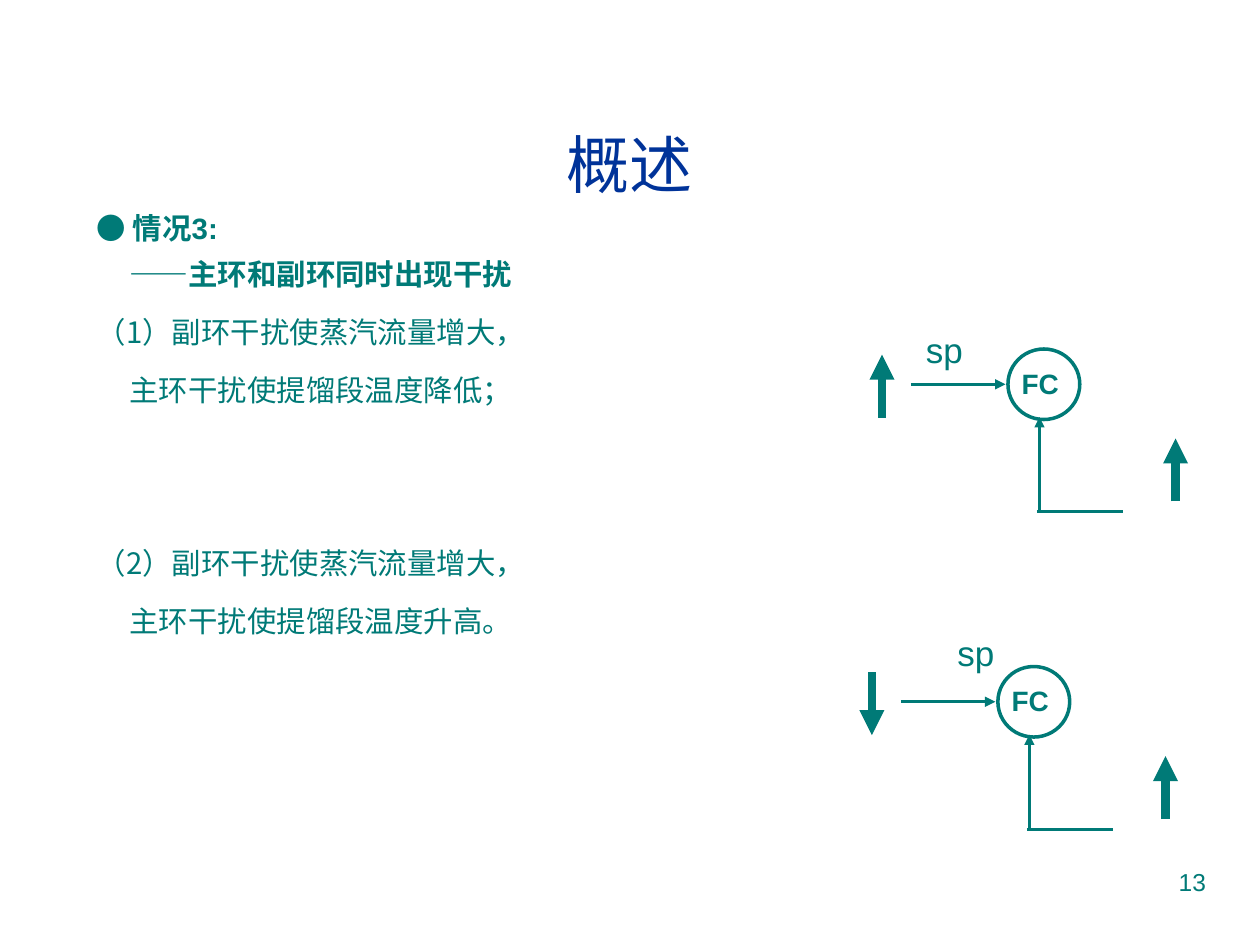
from dataclasses import dataclass
from typing import NamedTuple, Optional

from lxml.etree import SubElement
from pptx import Presentation
from pptx.dml.color import RGBColor
from pptx.enum.shapes import MSO_CONNECTOR as Connector, MSO_SHAPE as Shape
from pptx.enum.text import MSO_ANCHOR as Anchor, PP_ALIGN as Align
from pptx.oxml.ns import qn
from pptx.util import Emu, Inches, Pt

CELL = Inches(0.25)


@dataclass(frozen=True)
class Theme:
    """Colours, fonts, type sizes and line widths of the slide."""
    teal: RGBColor = RGBColor(0x00, 0x7A, 0x77)
    blue: RGBColor = RGBColor(0x00, 0x33, 0x99)
    latin: str = "Arial"
    chinese: str = "Noto Sans CJK SC"
    title: float = 36
    body: float = 16.8
    controller: float = 16
    setpoint: float = 20
    page: float = 14
    signal_line: float = 1.75
    circle_line: float = 2
    trend_line: float = 4.75


THEME = Theme()


class Point(NamedTuple):
    """A place on the grid, in columns and rows."""
    column: float
    row: float

    def shift(self, columns: float, rows: float) -> "Point":
        """Return the point moved by the given columns and rows."""
        return Point(self.column + columns, self.row + rows)


@dataclass(frozen=True)
class Line:
    """A paragraph of text with its layout."""
    text: str
    size: float
    color: RGBColor = THEME.teal
    font: str = THEME.latin
    bold: bool = False
    align: Align = Align.LEFT
    indent: float = 0
    before: float = 0
    spacing: Optional[float] = None


@dataclass(frozen=True)
class ControlLoop:
    """A flow controller, placed by the corner of its circle."""
    corner: Point
    label_shift: Point
    setpoint_rises: bool


LOOPS = (
    ControlLoop(Point(32, 11.08), Point(-3, -0.84), True),
    ControlLoop(Point(31.68, 21.16), Point(-1.68, -1.32), False),
)


def grid(cells: float) -> Emu:
    """Convert grid cells to a length."""
    return Emu(round(cells * CELL))


def heading(text: str, **layout) -> Line:
    """Return a bold heading line."""
    return Line(text, THEME.body, bold=True, align=Align.JUSTIFY, **layout)


def case_line(text: str, indent: float = 0, before: float = 15) -> Line:
    """Return a line that describes a case."""
    return Line(text, THEME.body, font=THEME.chinese, indent=indent, before=before, spacing=0.9)


def draw_text(shapes, corner: Point, columns: float, rows: float, *lines: Line,
              anchor: Anchor = Anchor.TOP, right_margin: float = 0.4) -> None:
    """Draw a text box with one paragraph per line."""
    box = shapes.add_textbox(*map(grid, (*corner, columns, rows)))
    frame = box.text_frame
    frame.word_wrap, frame.vertical_anchor = True, anchor
    frame.margin_right = grid(right_margin)
    for index, line in enumerate(lines):
        paragraph = frame.add_paragraph() if index else frame.paragraphs[0]
        paragraph.alignment = line.align
        paragraph.space_before = Pt(line.before)
        paragraph.line_spacing = line.spacing
        if line.indent:
            paragraph._p.get_or_add_pPr().set("marL", str(grid(line.indent)))
        run = paragraph.add_run()
        run.text = line.text
        run.font.name, run.font.size, run.font.bold = line.font, Pt(line.size), line.bold
        run.font.color.rgb = line.color
        SubElement(run.font._element, qn("a:ea"), typeface=THEME.chinese)


def draw_line(shapes, start: Point, end: Point, width: float, arrow: bool = True) -> None:
    """Draw a straight line, with an arrowhead at its end if asked."""
    connector = shapes.add_connector(Connector.STRAIGHT, *map(grid, (*start, *end)))
    connector.line.width = Pt(width)
    connector.line.color.rgb = THEME.teal
    if arrow:
        SubElement(connector.line._get_or_add_ln(), qn("a:tailEnd"), type="triangle")
    SubElement(connector._element.spPr, qn("a:effectLst"))


def draw_loop(shapes, loop: ControlLoop) -> None:
    """Draw a controller with its signals and trend arrows."""
    place = loop.corner.shift
    low, high = place(-4, 2.18), place(-4, 0.18)
    start, end = (low, high) if loop.setpoint_rises else (high, low)
    draw_line(shapes, start, end, THEME.trend_line)
    draw_line(shapes, place(5.32, 4.84), place(5.32, 2.84), THEME.trend_line)

    members = shapes.add_group_shape().shapes
    draw_text(members, place(0.04, 0.36), 2.16, 1.48,
              Line("FC", THEME.controller, bold=True), right_margin=0)
    circle = members.add_shape(Shape.OVAL, *map(grid, (*loop.corner, 2.28, 2.24)))
    circle.shadow.inherit = False
    circle.fill.background()
    circle.line.color.rgb = THEME.teal
    circle.line.width = Pt(THEME.circle_line)
    draw_line(members, place(-3.08, 1.12), place(-0.08, 1.12), THEME.signal_line)
    draw_line(members, place(1, 5.16), place(1, 2.16), THEME.signal_line)
    draw_line(members, place(0.92, 5.16), place(3.64, 5.16), THEME.signal_line, arrow=False)

    draw_text(shapes, place(*loop.label_shift), 3, 1.76, Line("sp", THEME.setpoint))


def main() -> None:
    """Build the slide and save it."""
    presentation = Presentation()
    presentation.slide_width, presentation.slide_height = grid(40), grid(30)
    slide = presentation.slides.add_slide(presentation.slide_layouts[6])
    shapes = slide.shapes
    draw_text(shapes, Point(28.68, 27.32), 10, 2.08, Line("13", THEME.page, align=Align.RIGHT))
    draw_text(shapes, Point(1.32, 2.68), 37.36, 5,
              Line("概述", THEME.title, THEME.blue, align=Align.CENTER), anchor=Anchor.MIDDLE)
    draw_text(
        shapes, Point(2.68, 6.48), 22.04, 13.88,
        heading("● 情况3:"),
        heading("——主环和副环同时出现干扰", indent=1.04, before=6),
        case_line("（1）副环干扰使蒸汽流量增大，"),
        case_line("主环干扰使提馏段温度降低；", indent=1.04),
        case_line("（2）副环干扰使蒸汽流量增大，", before=81),
        case_line("主环干扰使提馏段温度升高。", indent=1.04),
    )
    for loop in LOOPS:
        draw_loop(shapes, loop)
    presentation.save("out.pptx")


if __name__ == "__main__":
    main()
